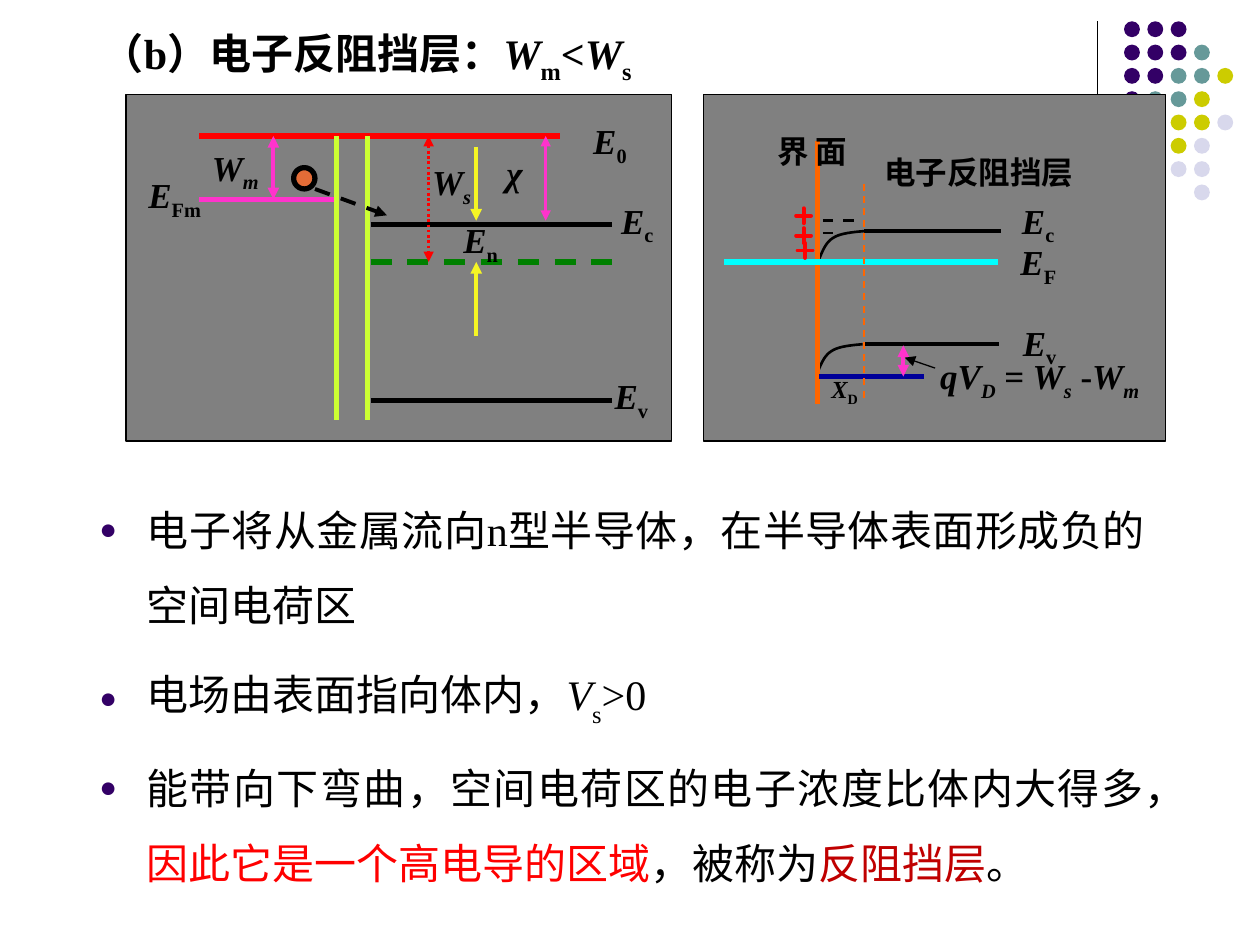
import dataclasses
import typing

import lxml.etree
import pptx
import pptx.dml.color
import pptx.enum.dml
import pptx.enum.shapes
import pptx.enum.text
import pptx.oxml.ns
import pptx.util

Cm = pptx.util.Cm
Pt = pptx.util.Pt
RGBColor = pptx.dml.color.RGBColor
qn = pptx.oxml.ns.qn
SHAPE = pptx.enum.shapes.MSO_SHAPE
LINE = pptx.enum.dml.MSO_LINE
ALIGN = pptx.enum.text.PP_ALIGN
ANCHOR = pptx.enum.text.MSO_ANCHOR
FIT = pptx.enum.text.MSO_AUTO_SIZE

BLACK = RGBColor(0x00, 0x00, 0x00)
GRAY = RGBColor(0x80, 0x80, 0x80)
RED = RGBColor(0xFF, 0x00, 0x00)
DARK_RED = RGBColor(0xC0, 0x00, 0x00)
PINK = RGBColor(0xFF, 0x33, 0xCC)
YELLOW = RGBColor(0xF6, 0xF6, 0x24)
LIME = RGBColor(0xCC, 0xFF, 0x33)
GREEN = RGBColor(0x00, 0x80, 0x00)
ORANGE = RGBColor(0xFF, 0x66, 0x00)
ELECTRON = RGBColor(0xE3, 0x6C, 0x37)
CYAN = RGBColor(0x00, 0xFF, 0xFF)
NAVY = RGBColor(0x00, 0x00, 0x99)
PURPLE = RGBColor(0x33, 0x00, 0x66)
TEAL = RGBColor(0x66, 0x99, 0x99)
OLIVE = RGBColor(0xCC, 0xCC, 0x00)
LAVENDER = RGBColor(0xD8, 0xD8, 0xEC)

SERIF = "Times New Roman"
SANS = "Karla"


class Run(typing.NamedTuple):
    text: str
    italic: bool = False
    base: int = 0
    color: RGBColor = BLACK
    font: str = SERIF


@dataclasses.dataclass
class Stroke:
    start: tuple[float, float]
    end: tuple[float, float]
    color: RGBColor = BLACK
    width: float = 3
    dash: typing.Any = None
    ends: tuple[str, ...] = ()


@dataclasses.dataclass
class Label:
    left: float
    top: float
    width: float
    runs: tuple[Run, ...]
    size: int = 20
    height: float = 1.09
    wrap: bool = True


@dataclasses.dataclass
class Solid:
    kind: typing.Any
    left: float
    top: float
    width: float
    height: float
    fill: RGBColor
    outline: typing.Optional[RGBColor] = None
    weight: float = 0.75


def symbol(letter: str, sub: str, slanted_sub: bool = False) -> tuple[Run, ...]:
    return Run(letter, True), Run(sub, slanted_sub, -25)


def add_runs(paragraph, runs: typing.Iterable[Run], size: int, bold: bool) -> None:
    for part in runs:
        run = paragraph.add_run()
        run.text = part.text
        run.font.size = Pt(size)
        run.font.name = part.font
        run.font.bold = bold
        run.font.italic = part.italic
        run.font.color.rgb = part.color
        if part.base:
            run.font._element.set("baseline", str(part.base * 1000))


def draw_stroke(shapes, stroke: Stroke) -> None:
    line = shapes.add_connector(
        pptx.enum.shapes.MSO_CONNECTOR.STRAIGHT,
        *(Cm(value) for value in stroke.start + stroke.end))
    line.line.color.rgb = stroke.color
    line.line.width = Pt(stroke.width)
    if stroke.dash:
        line.line.dash_style = stroke.dash
    properties = line._element.spPr
    for end in stroke.ends:
        lxml.etree.SubElement(properties.find(qn("a:ln")), qn(f"a:{end}"), type="triangle")
    lxml.etree.SubElement(properties, qn("a:effectLst"))


def draw_solid(shapes, solid: Solid):
    shape = shapes.add_shape(solid.kind, Cm(solid.left), Cm(solid.top),
                             Cm(solid.width), Cm(solid.height))
    shape.shadow.inherit = False
    shape.fill.solid()
    shape.fill.fore_color.rgb = solid.fill
    if solid.outline is None:
        shape.line.fill.background()
    else:
        shape.line.color.rgb = solid.outline
        shape.line.width = Pt(solid.weight)
    return shape


def draw_label(shapes, label: Label) -> None:
    frame = shapes.add_textbox(Cm(label.left), Cm(label.top),
                               Cm(label.width), Cm(label.height)).text_frame
    frame.word_wrap = label.wrap
    frame.auto_size = FIT.SHAPE_TO_FIT_TEXT
    add_runs(frame.paragraphs[0], label.runs, label.size, True)


def draw_band_bend(shapes, left: float, bottom: float) -> None:
    curves = [((0, 0), (0.08, -0.18), (0.13, -0.33), (0.28, -0.43)),
              ((0.28, -0.43), (0.43, -0.53), (0.69, -0.55), (0.91, -0.57))]
    points = []
    for curve in curves:
        for step in range(1, 11):
            t = step / 10
            weights = ((1 - t) ** 3, 3 * t * (1 - t) ** 2, 3 * t * t * (1 - t), t ** 3)
            x, y = (sum(w * p[axis] for w, p in zip(weights, curve)) for axis in (0, 1))
            points.append((Cm(left + x), Cm(bottom + y)))
    builder = shapes.build_freeform(Cm(left), Cm(bottom))
    builder.add_line_segments(points, close=False)
    bend = builder.convert_to_shape()
    bend.shadow.inherit = False
    bend.fill.background()
    bend.line.color.rgb = BLACK
    bend.line.width = Pt(1.5)


def fill_conclusions(body, conclusions: list[tuple[Run, ...]]) -> None:
    frame = body.text_frame
    frame.auto_size = FIT.NONE
    for index, runs in enumerate(conclusions):
        paragraph = frame.add_paragraph() if index else frame.paragraphs[0]
        paragraph.alignment = ALIGN.JUSTIFY
        paragraph.line_spacing = 1.5
        paragraph.space_before = Pt(5 if index else 0)
        properties = paragraph._p.get_or_add_pPr()
        properties.set("marL", str(Cm(0.95)))
        properties.set("indent", str(-Cm(0.95)))
        bullet_color = lxml.etree.SubElement(properties, qn("a:buClr"))
        lxml.etree.SubElement(bullet_color, qn("a:srgbClr"), val=str(PURPLE))
        lxml.etree.SubElement(properties, qn("a:buSzPct"), val="70000")
        lxml.etree.SubElement(properties, qn("a:buChar"), char="●")
        add_runs(paragraph, runs, 24, False)


BOTH = ("headEnd", "tailEnd")
TAIL = ("tailEnd",)
HEADING = (Run("（b）电子反阻挡层："), *symbol("W", "m"), Run("<"), *symbol("W", "s"))
CONCLUSIONS = [
    (Run("电子将从金属流向n型半导体，在半导体表面形成负的空间电荷区"),),
    (Run("电场由表面指向体内，"), Run("V", True), Run("s", base=-30), Run(">0")),
    (Run("能带向下弯曲，空间电荷区的电子浓度比体内大得多，"),
     Run("因此它是一个高电导的区域", color=RED, font="Arial"), Run("，", font="Arial"),
     Run("被称为"), Run("反阻挡层", color=DARK_RED), Run("。")),
]
DOT_ROWS = ["PPP", "PPPT", "PPTTO", "PTTO", "..OOL", "..OL", "..LL", "...L"]
DOT_COLORS = {"P": PURPLE, "T": TEAL, "O": OLIVE, "L": LAVENDER}
PANELS = [Solid(SHAPE.RECTANGLE, 2.54, 1.9, 11, 6.99, GRAY, BLACK),
          Solid(SHAPE.RECTANGLE, 14.18, 1.9, 9.32, 6.99, GRAY, BLACK)]
STROKES = [
    Stroke((7.47, 8.08), (12.34, 8.08)),
    Stroke((7.47, 4.52), (12.34, 4.52)),
    Stroke((7.47, 5.28), (12.34, 5.28), GREEN, dash=LINE.DASH),
    Stroke((4.02, 2.74), (11.28, 2.74), RED),
    Stroke((8.64, 2.74), (8.64, 5.28), RED, 1.5, LINE.ROUND_DOT, BOTH),
    Stroke((11, 2.74), (11, 4.45), PINK, 1.5, ends=BOTH),
    Stroke((9.6, 2.97), (9.6, 4.45), YELLOW, 2.25, ends=TAIL),
    Stroke((9.6, 6.78), (9.6, 5.28), YELLOW, 2.25, ends=TAIL),
    Stroke((4.02, 4.02), (6.78, 4.02), PINK),
    Stroke((5.51, 2.74), (5.51, 4.02), PINK, 2.25, ends=BOTH),
    Stroke((7.41, 2.74), (7.41, 8.46), LIME),
    Stroke((6.78, 2.74), (6.78, 8.46), LIME),
    Stroke((6.35, 3.81), (7.8, 4.34), BLACK, 2.25, LINE.DASH, TAIL),
    Stroke((17.42, 4.66), (20.17, 4.66), width=2.25),
    Stroke((17.4, 6.94), (20.14, 6.94), width=2.25),
    Stroke((16.48, 2.84), (16.48, 8.15), ORANGE),
    Stroke((14.6, 5.28), (20.12, 5.28), CYAN),
    Stroke((16.51, 7.59), (18.62, 7.59), NAVY),
    Stroke((16.59, 4.7), (16.79, 4.7), width=1.5),
    Stroke((16.59, 4.45), (16.79, 4.45), width=1.5),
    Stroke((17, 4.45), (17.22, 4.45), width=1.5),
    Stroke((17.42, 3.71), (17.42, 8.05), ORANGE, 1, LINE.DASH),
    Stroke((18.21, 6.96), (18.21, 7.59), PINK, 2.25, ends=BOTH),
    Stroke((18.85, 7.42), (18.24, 7.21), width=0.75, ends=TAIL),
]
LABELS = [
    Label(11.71, 2.29, 1.22, symbol("E", "0"), wrap=False),
    Label(12.27, 3.89, 1.19, symbol("E", "c"), wrap=False),
    Label(12.14, 7.42, 1.22, symbol("E", "v"), wrap=False),
    Label(8.46, 3.12, 2.11, symbol("W", "s", True)),
    Label(9.96, 2.92, 2.11, (Run("χ", True),)),
    Label(9.09, 4.29, 1.24, symbol("E", "n"), wrap=False),
    Label(4.02, 2.82, 2.11, symbol("W", "m", True)),
    Label(2.74, 3.38, 2.54, symbol("E", "Fm")),
    Label(20.32, 4.72, 1.7, symbol("E", "F")),
    Label(17.58, 2.97, 4.65, (Run("电子反阻挡层", font=SANS),), 18, 1.02),
    Label(15.42, 2.54, 2.54, (Run("界 面", font=SANS),), 18, 1.02),
    Label(20.35, 3.89, 1.19, symbol("E", "c"), wrap=False),
    Label(20.37, 6.35, 1.22, symbol("E", "v"), wrap=False),
    Label(16.51, 7.42, 1.7, symbol("X", "D"), 14, 0.84),
]
BARRIER = (*symbol("qV", "D", True), Run(" ="), *symbol(" W", "s", True),
           Run(" -"), *symbol("W", "m", True))


def main() -> None:
    deck = pptx.Presentation()
    deck.slide_width, deck.slide_height = Cm(25.4), Cm(19.05)
    slide = deck.slides.add_slide(deck.slide_layouts[1])
    shapes = slide.shapes
    heading, body = slide.placeholders
    for holder, box in ((heading, (1.8, 0.43, 12.5, 1.27)), (body, (1.75, 9.53, 21.59, 8.46))):
        holder.left, holder.top, holder.width, holder.height = (Cm(value) for value in box)
        holder.text_frame.vertical_anchor = ANCHOR.TOP
    heading.text_frame.auto_size = FIT.NONE
    heading.text_frame.paragraphs[0].alignment = ALIGN.LEFT
    add_runs(heading.text_frame.paragraphs[0], HEADING, 24, True)
    fill_conclusions(body, CONCLUSIONS)

    draw_stroke(shapes, Stroke((22.12, 0.43), (22.12, 4.65), width=0.75))
    for row, codes in enumerate(DOT_ROWS):
        for column, code in enumerate(codes):
            if code in DOT_COLORS:
                draw_solid(shapes, Solid(SHAPE.OVAL, 22.66 + 0.47 * column, 0.43 + 0.47 * row,
                                         0.32, 0.32, DOT_COLORS[code]))
    for panel in PANELS:
        draw_solid(shapes, panel)
    for left, bottom in ((16.51, 5.23), (16.48, 7.51)):
        draw_band_bend(shapes, left, bottom)
    for stroke in STROKES:
        draw_stroke(shapes, stroke)
    draw_solid(shapes, Solid(SHAPE.OVAL, 5.92, 3.38, 0.43, 0.43, ELECTRON, BLACK, 3))
    for left, top in ((16.08, 4.9), (16.05, 4.2), (16.05, 4.6)):
        charge = draw_solid(shapes, Solid(SHAPE.CROSS, left, top, 0.3, 0.3, OLIVE, RED, 2.25))
        charge.adjustments[0] = 0.5
    for label in LABELS:
        draw_label(shapes, label)

    barrier = draw_solid(shapes, Solid(SHAPE.ROUNDED_RECTANGULAR_CALLOUT,
                                       18.42, 6.99, 5.08, 1.27, GRAY))
    barrier.fill.background()
    for index, value in enumerate((-0.39, -0.85, 0.17)):
        barrier.adjustments[index] = value
    barrier.text_frame.word_wrap = True
    barrier.text_frame.vertical_anchor = ANCHOR.MIDDLE
    barrier.text_frame.paragraphs[0].alignment = ALIGN.CENTER
    add_runs(barrier.text_frame.paragraphs[0], BARRIER, 20, True)
    deck.save("out.pptx")


if __name__ == "__main__":
    main()
